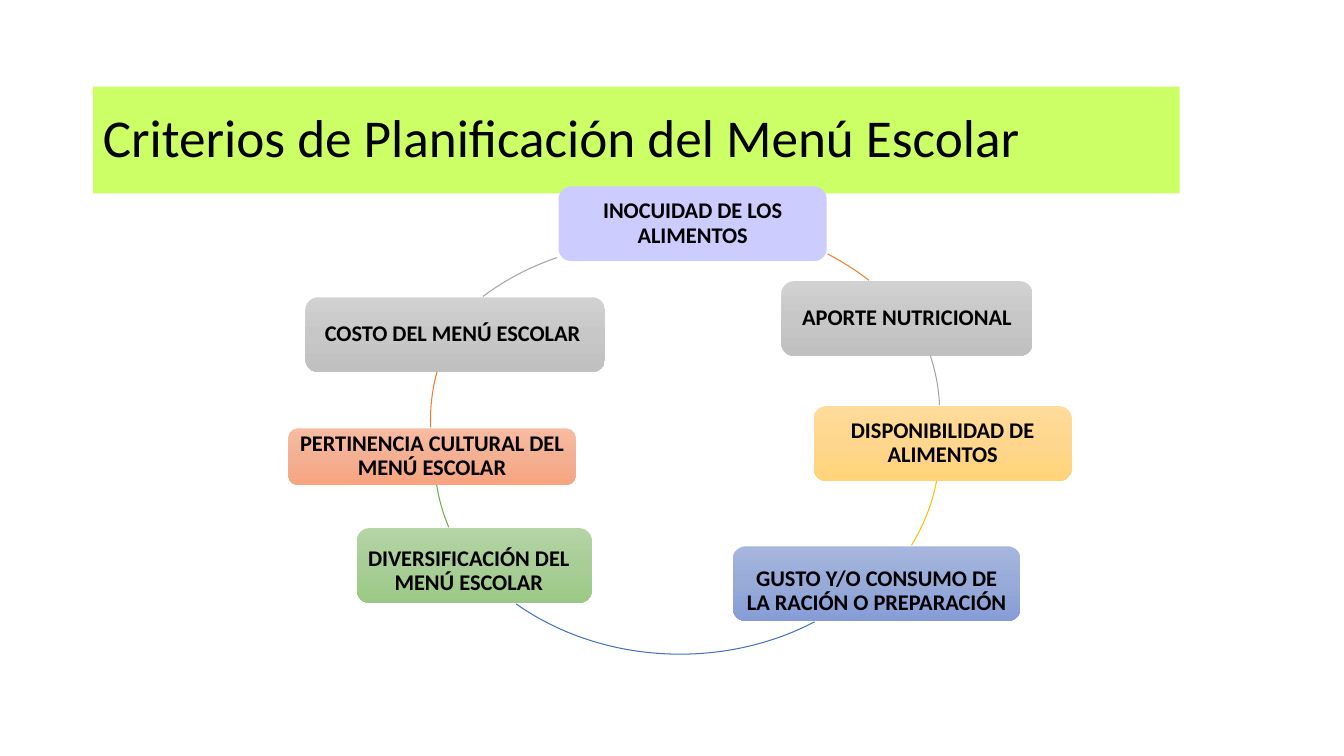
import copy
import math
from dataclasses import dataclass

import pptx
import pptx.dml.color
import pptx.enum.shapes
import pptx.enum.text
import pptx.oxml.ns
import pptx.util
from pptx.slide import Slide
from pptx.util import Inches

FONT = "Calibri"
RING_WIDTH, RING_HEIGHT = 5.03, 4.21
COLOURS = {
    "text": "000000",
    "banner": "CCFF66",
    "lilac": "CCCCFF",
    "orange_line": "ED7D31",
    "grey_line": "A5A5A5",
    "gold_line": "FFC000",
    "blue_line": "4372C3",
    "green_line": "70AD47",
}
GRADIENTS = {
    "grey": ("D1D1D1", "C7C7C7", "C0C0C0"),
    "gold": ("FFDC9B", "FFD68D", "FFD478"),
    "blue": ("A6B6DE", "97AAD8", "859CD6"),
    "green": ("B4D4A5", "A8CD97", "9BC985"),
    "orange": ("F7BCA2", "F4B093", "F7A47F"),
}


@dataclass
class Criterion:
    text: str
    left: float
    top: float
    width: float
    fill: str
    height: float = 0.74
    left_inset: float = 0.07
    right_inset: float = 0.07
    top_inset: float = 0


@dataclass
class RingArc:
    left: float
    top: float
    start: tuple[float, float]
    end: tuple[float, float]
    colour: str


CRITERIA = [
    Criterion("INOCUIDAD DE LOS ALIMENTOS", 5.54, 1.85, 2.66, "lilac"),
    Criterion("APORTE NUTRICIONAL", 7.75, 2.79, 2.49, "grey"),
    Criterion("DISPONIBILIDAD DE ALIMENTOS", 8.07, 4.03, 2.56, "gold"),
    Criterion("GUSTO Y/O CONSUMO DE LA RACIÓN O PREPARACIÓN", 7.27, 5.42, 2.85, "blue", top_inset=0.15),
    Criterion("DIVERSIFICACIÓN DEL MENÚ ESCOLAR", 3.54, 5.24, 2.33, "green",
              left_inset=0, right_inset=0.11, top_inset=0.11),
    Criterion("PERTINENCIA CULTURAL DEL MENÚ ESCOLAR", 2.86, 4.25, 2.85, "orange", height=0.56),
    Criterion("COSTO DEL MENÚ ESCOLAR ", 3.03, 2.95, 2.97, "grey"),
]
ARCS = [
    RingArc(4.38, 2.21, (8.21, 2.52), (8.62, 2.78), "orange_line"),
    RingArc(4.29, 1.99, (9.23, 3.53), (9.32, 4.02), "grey_line"),
    RingArc(4.29, 2.34, (9.29, 4.77), (9.04, 5.41), "gold_line"),
    RingArc(4.23, 2.28, (8.08, 6.17), (5.12, 5.99), "blue_line"),
    RingArc(4.31, 2.43, (4.46, 5.23), (4.33, 4.81), "green_line"),
    RingArc(4.27, 2.06, (4.27, 4.24), (4.33, 3.69), "orange_line"),
    RingArc(3.96, 2.40, (4.79, 2.94), (5.53, 2.56), "grey_line"),
]


def rgb(name: str) -> pptx.dml.color.RGBColor:
    return pptx.dml.color.RGBColor.from_string(COLOURS.get(name, name))


def format_text(shape, size: float, bold: bool, align) -> None:
    shape.text_frame.vertical_anchor = pptx.enum.text.MSO_ANCHOR.MIDDLE
    shape.text_frame.word_wrap = True
    paragraph = shape.text_frame.paragraphs[0]
    paragraph.alignment = align
    paragraph.line_spacing = 0.9
    paragraph.font.name = FONT
    paragraph.font.size = pptx.util.Pt(size)
    paragraph.font.bold = bold
    paragraph.font.color.rgb = rgb("text")


def fill_gradient(shape, colours: tuple[str, str, str]) -> None:
    shape.fill.gradient()
    shape.fill.gradient_angle = 270
    stop_list = shape._element.spPr.find(".//" + pptx.oxml.ns.qn("a:gsLst"))
    stop_list.insert(1, copy.deepcopy(stop_list[0]))
    for stop, colour, position in zip(shape.fill.gradient_stops, colours, (0, 0.5, 1)):
        stop.color.rgb = rgb(colour)
        stop.position = position


def add_title(slide: Slide) -> None:
    title = slide.shapes.title
    title.left, title.top = Inches(0.92), Inches(0.86)
    title.width, title.height = Inches(10.78), Inches(1.06)
    title.fill.solid()
    title.fill.fore_color.rgb = rgb("banner")
    title.text_frame.text = "Criterios de Planificación del Menú Escolar"
    title.text_frame.auto_size = pptx.enum.text.MSO_AUTO_SIZE.NONE
    format_text(title, 38, False, pptx.enum.text.PP_ALIGN.LEFT)


def add_criterion(slide: Slide, criterion: Criterion) -> None:
    box = slide.shapes.add_shape(
        pptx.enum.shapes.MSO_SHAPE.ROUNDED_RECTANGLE,
        Inches(criterion.left), Inches(criterion.top),
        Inches(criterion.width), Inches(criterion.height),
    )
    box.shadow.inherit = False
    box.line.fill.background()
    if criterion.fill in GRADIENTS:
        fill_gradient(box, GRADIENTS[criterion.fill])
    else:
        box.fill.solid()
        box.fill.fore_color.rgb = rgb(criterion.fill)
    frame = box.text_frame
    frame.text = criterion.text
    frame.margin_left = Inches(criterion.left_inset)
    frame.margin_right = Inches(criterion.right_inset)
    frame.margin_top = Inches(criterion.top_inset)
    frame.margin_bottom = 0
    format_text(box, 16, True, pptx.enum.text.PP_ALIGN.CENTER)


def add_arc(slide: Slide, ring_arc: RingArc) -> None:
    arc = slide.shapes.add_shape(
        pptx.enum.shapes.MSO_SHAPE.ARC,
        Inches(ring_arc.left), Inches(ring_arc.top),
        Inches(RING_WIDTH), Inches(RING_HEIGHT),
    )
    centre_x = ring_arc.left + RING_WIDTH / 2
    centre_y = ring_arc.top + RING_HEIGHT / 2
    for index, (x, y) in enumerate((ring_arc.start, ring_arc.end)):
        degrees = math.degrees(math.atan2(y - centre_y, x - centre_x)) % 360
        arc.adjustments[index] = degrees * 0.6
    arc.shadow.inherit = False
    arc.fill.background()
    arc.line.color.rgb = rgb(ring_arc.colour)
    arc.line.width = pptx.util.Pt(0.75)


def main() -> None:
    presentation = pptx.Presentation()
    presentation.slide_width, presentation.slide_height = Inches(13.33), Inches(7.5)
    slide = presentation.slides.add_slide(presentation.slide_layouts[5])
    add_title(slide)
    for criterion, ring_arc in zip(CRITERIA, ARCS):
        add_criterion(slide, criterion)
        add_arc(slide, ring_arc)
    presentation.save("out.pptx")


if __name__ == "__main__":
    main()
